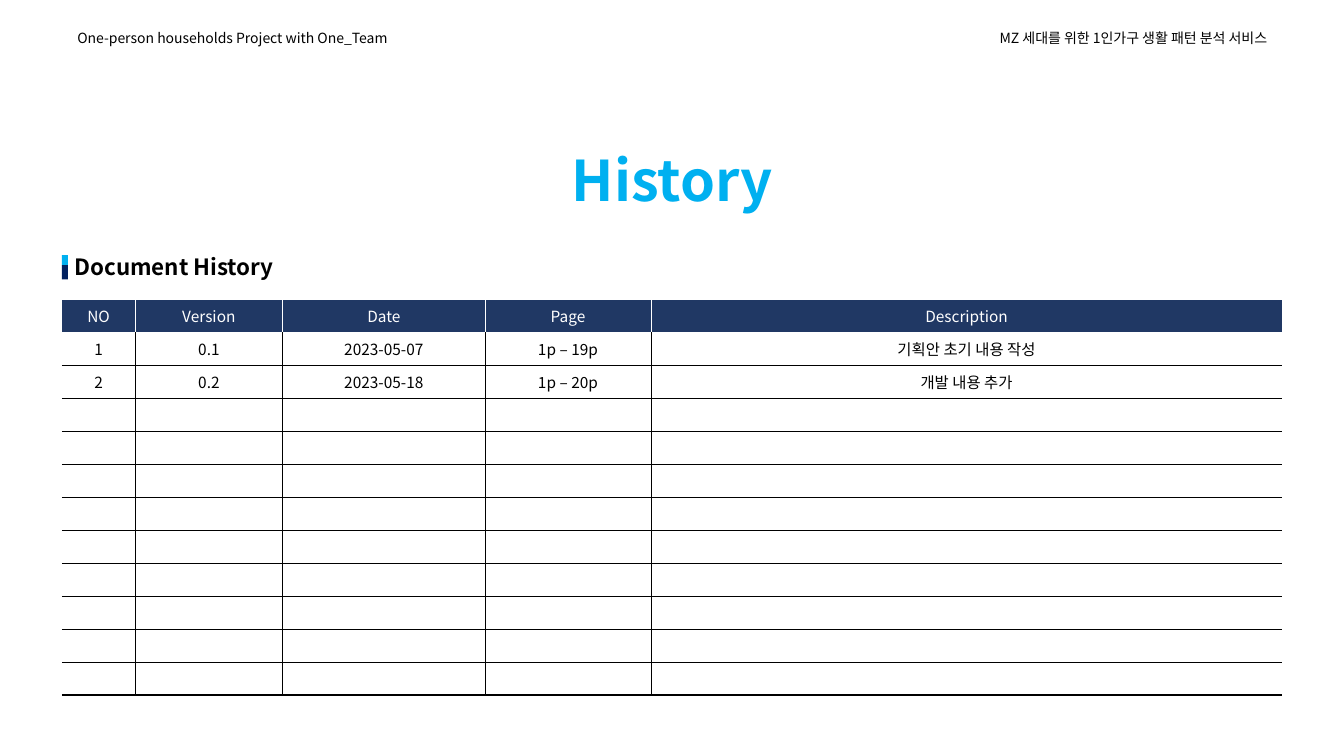
"""Build the document history slide with its version table."""
from lxml import etree
from pptx import Presentation
from pptx.dml.color import RGBColor
from pptx.enum.shapes import MSO_SHAPE
from pptx.enum.text import MSO_ANCHOR, PP_ALIGN
from pptx.oxml.ns import qn
from pptx.util import Cm, Pt

LEFT, CENTER, RIGHT = PP_ALIGN.LEFT, PP_ALIGN.CENTER, PP_ALIGN.RIGHT
MIDDLE = MSO_ANCHOR.MIDDLE
RECTANGLE = MSO_SHAPE.RECTANGLE
FONT = "Noto Sans CJK KR"
BLACK, WHITE, SKY, NAVY, HEADER = "000000", "FFFFFF", "00B0F0", "002060", "203864"


def color(value):
    return RGBColor.from_string(value)


def write(frame, text, size, ink, align, bold=False):
    frame.vertical_anchor = MIDDLE
    para = frame.paragraphs[0]
    para.alignment = align
    span = para.add_run()
    span.text = text
    span.font.name = FONT
    span.font.size = Pt(size)
    span.font.bold = bold
    span.font.color.rgb = color(ink)
    etree.SubElement(span.font._element, qn("a:ea"), typeface=FONT)


deck = Presentation()
deck.slide_width, deck.slide_height = Cm(33.87), Cm(19.05)
page = deck.slides.add_slide(deck.slide_layouts[6])

texts = [
    ("One-person households Project with One_Team", 1.7, 0.61, 9.09, 0.69, 10, BLACK, LEFT, False),
    ("MZ 세대를 위한 1인가구 생활 패턴 분석 서비스", 23.09, 0.61, 9.09, 0.69, 10, BLACK, RIGHT, False),
    ("History", 12.95, 3.53, 7.98, 1.96, 40, SKY, CENTER, True),
    ("Document History", 1.63, 6.25, 10.08, 0.94, 16, BLACK, LEFT, True),
]
for text, left, top, width, height, size, ink, align, bold in texts:
    box = page.shapes.add_textbox(Cm(left), Cm(top), Cm(width), Cm(height))
    box.text_frame.word_wrap = True
    write(box.text_frame, text, size, ink, align, bold)

for top, height, fill in [(6.43, 0.25, SKY), (6.68, 0.36, NAVY)]:
    marker = page.shapes.add_shape(RECTANGLE, Cm(1.56), Cm(top), Cm(0.15), Cm(height))
    marker.shadow.inherit = False
    marker.fill.solid()
    marker.fill.fore_color.rgb = color(fill)
    marker.line.fill.background()

records = [
    ["NO", "Version", "Date", "Page", "Description"],
    ["1", "0.1", "2023-05-07", "1p – 19p", "기획안 초기 내용 작성"],
    ["2", "0.2", "2023-05-18", "1p – 20p", "개발 내용 추가"],
]
widths = [1.85, 3.71, 5.11, 4.17, 15.92]
row_count, row_height = 12, 0.83
last_row, last_column = row_count - 1, len(widths) - 1
records += [[""] * len(widths)] * (row_count - len(records))

history = page.shapes.add_table(row_count, len(widths), Cm(1.56), Cm(7.55),
                                Cm(sum(widths)), Cm(row_count * row_height)).table
for column, width in zip(history.columns, widths):
    column.width = Cm(width)

for r, record in enumerate(records):
    history.rows[r].height = Cm(row_height)
    is_header = r == 0
    ink = WHITE if is_header else BLACK
    for c, text in enumerate(record):
        cell = history.cell(r, c)
        cell.vertical_anchor = MIDDLE
        cell.fill.solid()
        cell.fill.fore_color.rgb = color(HEADER if is_header else WHITE)
        if text:
            write(cell.text_frame, text, 11, ink, CENTER)
        else:
            etree.SubElement(cell.text_frame.paragraphs[0]._p, qn("a:endParaRPr"), sz="1100")
        borders = [
            ("a:lnL", 0.25 if c > 0 else 0, ink),
            ("a:lnR", 0.25 if c < last_column else 0, ink),
            ("a:lnT", 0.25, WHITE if r <= 1 else BLACK),
            ("a:lnB", 1.5 if r == last_row else 0.25, ink),
        ]
        properties = cell._tc.get_or_add_tcPr()
        for position, (tag, points, shade) in enumerate(borders):
            edge = etree.Element(qn(tag), w=str(int(Pt(points))))
            properties.insert(position, edge)
            if points:
                paint = etree.SubElement(edge, qn("a:solidFill"))
                etree.SubElement(paint, qn("a:srgbClr"), val=shade)
            else:
                etree.SubElement(edge, qn("a:noFill"))

deck.save("out.pptx")
